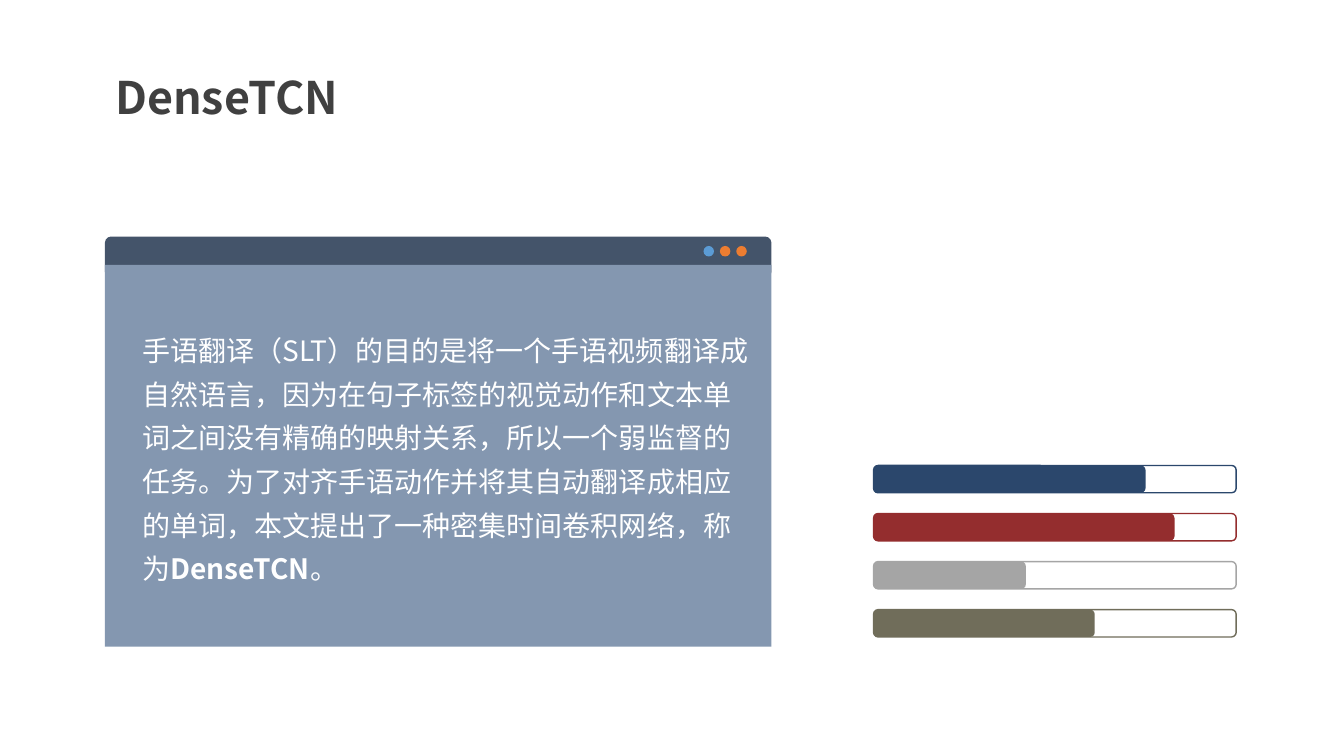
from lxml.etree import SubElement
from pptx import Presentation
from pptx.dml.color import RGBColor
from pptx.enum.shapes import MSO_SHAPE as Preset
from pptx.enum.text import MSO_ANCHOR as Anchor, PP_ALIGN as Align
from pptx.oxml.ns import qn
from pptx.util import Pt

FONT = "Noto Sans CJK SC"
TITLE = "DenseTCN"
SUMMARY = [
    ("手语翻译（SLT）的目的是将一个手语视频翻译成自然语言，因为在句子标签的视觉动作和文本"
     "单词之间没有精确的映射关系，所以一个弱监督的任务。为了对齐手语动作并将其自动翻译成相应的单词，"
     "本文提出了一种密集时间卷积网络，称为", False),
    ("DenseTCN", True),
    ("。", False),
]
DOTS = ["5B9BD5", "ED7D31", "ED7D31"]
BARS = [("2B476C", 0.75), ("942D2E", 0.83), ("A5A5A5", 0.42), ("706D5A", 0.61)]


def color(value):
    """Turn a hex string into a colour."""
    return RGBColor.from_string(value)


def add_block(page, preset, box, fill=None, line=None):
    """Add a flat shape with an optional fill and outline."""
    shape = page.shapes.add_shape(preset, *map(Pt, box))
    shape.shadow.inherit = False
    if fill:
        shape.fill.solid()
        shape.fill.fore_color.rgb = color(fill)
    else:
        shape.fill.background()
    if line:
        shape.line.color.rgb = color(line)
        shape.line.width = Pt(1)
    else:
        shape.line.fill.background()
    return shape


def add_span(para, text, size, ink, bold):
    """Add one run in the slide font for Latin and Chinese text."""
    span = para.add_run()
    span.text = text
    span.font.size = Pt(size)
    span.font.bold = bold
    span.font.color.rgb = color(ink)
    span.font.name = FONT
    SubElement(span.font._element, qn("a:ea"), typeface=FONT)


def add_title(page, box):
    """Place and format the title placeholder."""
    title = page.shapes.title
    title.left, title.top, title.width, title.height = map(Pt, box)
    frame = title.text_frame
    frame.word_wrap = False
    frame.vertical_anchor = Anchor.TOP
    para = frame.paragraphs[0]
    para.alignment = Align.LEFT
    para.line_spacing = 1.0
    add_span(para, TITLE, 32, "404040", True)


def add_window(page, box):
    """Draw the window with its dots and the summary text."""
    left, top, width, height = box
    header = add_block(page, Preset.ROUNDED_RECTANGLE, (left, top, width, 29.5), "44546A")
    header.adjustments[0] = 0.144
    add_block(page, Preset.RECTANGLE, (left, top + 20.2, width, height - 20.2), "8497B0")
    for index, fill in enumerate(DOTS):
        dot_left = left + width - 48.5 + 11.7 * index
        add_block(page, Preset.OVAL, (dot_left, top + 6.7, 7.5, 7.5), fill)

    text_box = (left + 19.5, top + 58.5, width - 26, 196.5)
    frame = page.shapes.add_textbox(*map(Pt, text_box)).text_frame
    frame.word_wrap = True
    para = frame.paragraphs[0]
    para.line_spacing = 1.3
    for text, bold in SUMMARY:
        add_span(para, text, 20, "FFFFFF", bold)


def add_bars(page, box):
    """Draw the outlined progress bars at an equal pitch."""
    left, top, width, height = box
    bar_height = 19.5
    pitch = (height - bar_height) / (len(BARS) - 1)
    for index, (ink, share) in enumerate(BARS):
        bar_top = top + pitch * index
        add_block(page, Preset.ROUNDED_RECTANGLE, (left, bar_top, width, bar_height), line=ink)
        add_block(page, Preset.ROUNDED_RECTANGLE, (left, bar_top, width * share, bar_height), ink)


def main():
    """Build the slide and save the deck."""
    deck = Presentation()
    deck.slide_width, deck.slide_height = Pt(960), Pt(540)
    page = deck.slides.add_slide(deck.slide_layouts[5])
    add_title(page, (75, 46, 181, 46))
    add_window(page, (75, 169, 476, 293))
    add_bars(page, (624, 332.5, 259, 122.5))
    deck.save("out.pptx")


if __name__ == "__main__":
    main()
